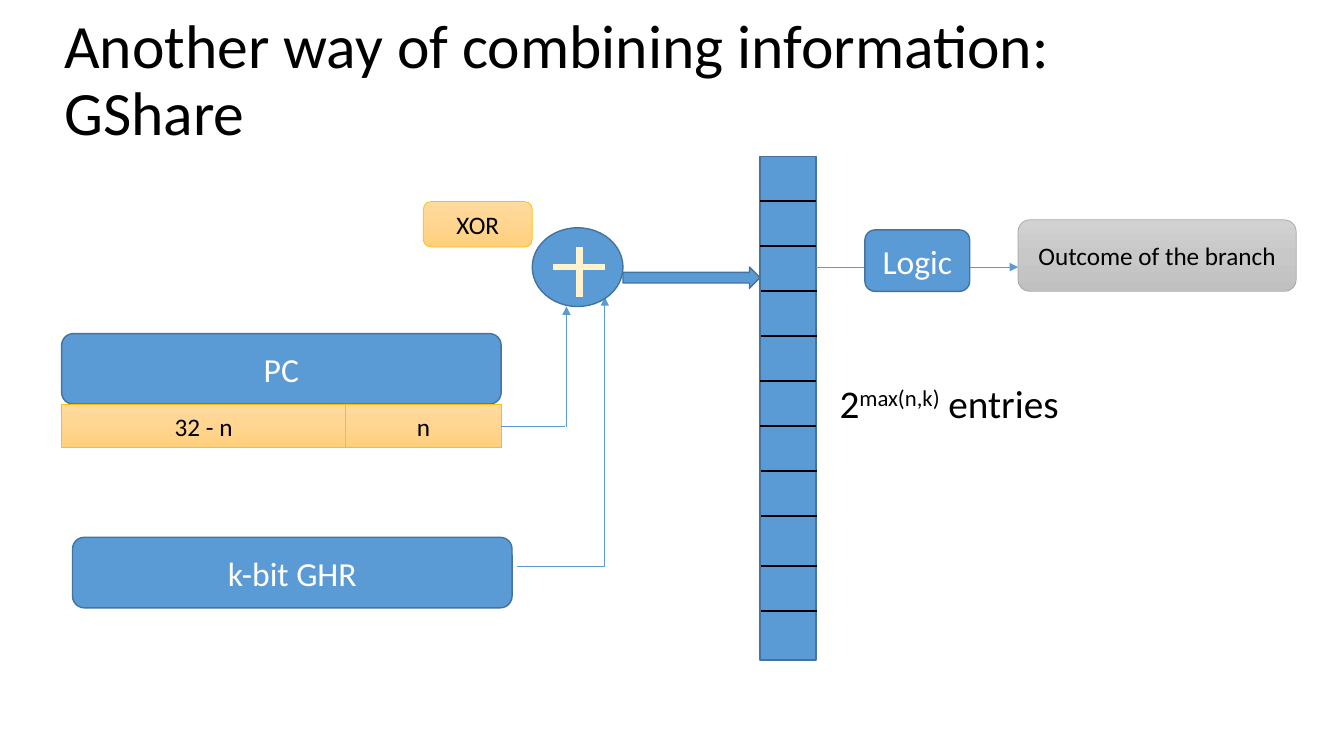
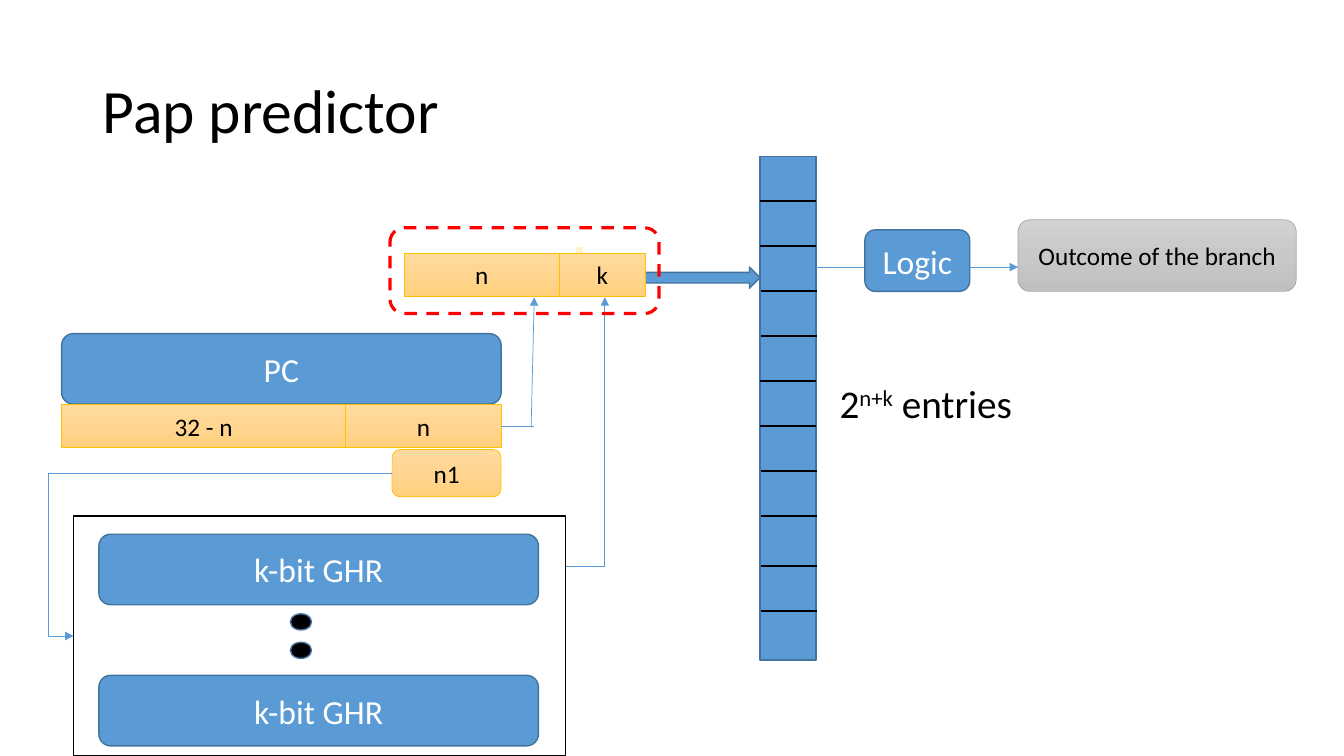
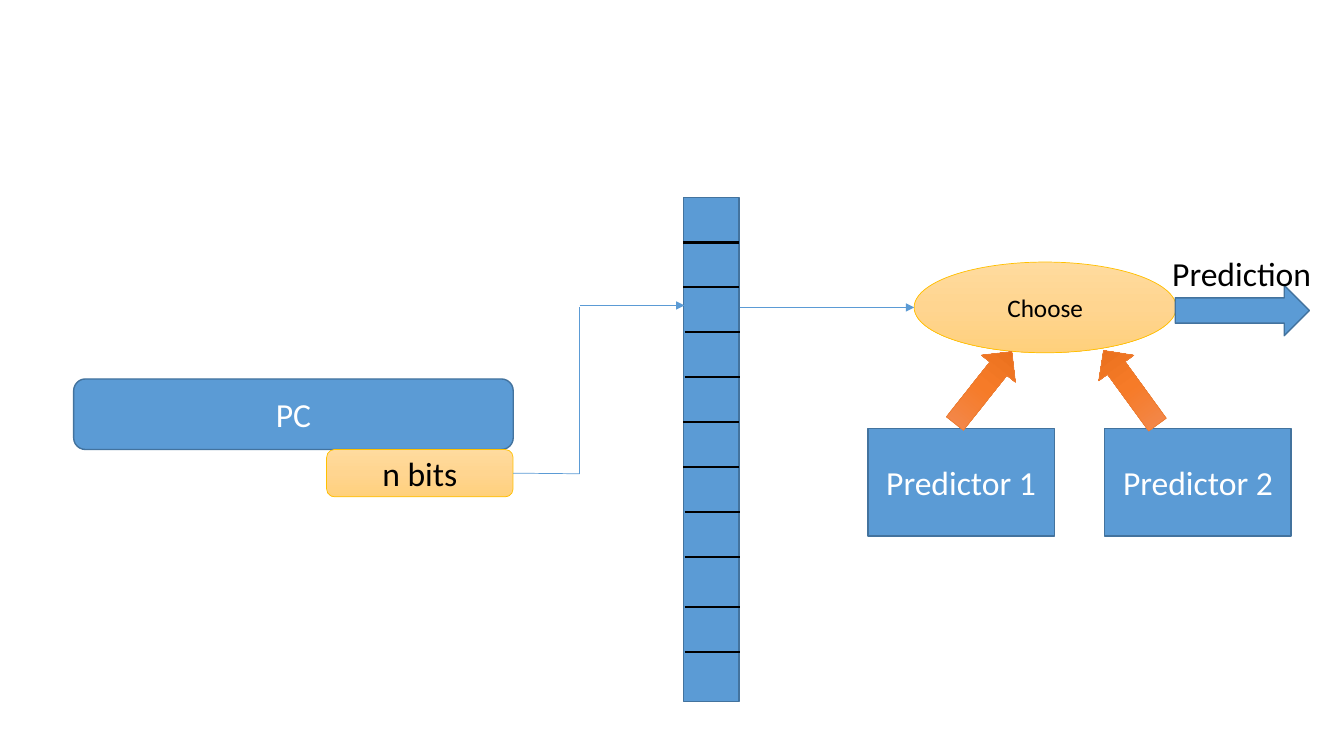
import copy
from dataclasses import dataclass
from typing import NamedTuple, Optional

import lxml.etree
import pptx
import pptx.dml.color
import pptx.enum.dml
import pptx.enum.shapes
import pptx.enum.text
import pptx.oxml.ns
import pptx.presentation
import pptx.shapes.autoshape
import pptx.shapes.connector
import pptx.slide
import pptx.util

Pt = pptx.util.Pt
Kind = pptx.enum.shapes.MSO_SHAPE
qn = pptx.oxml.ns.qn


class Look(NamedTuple):
    fill: tuple[str, ...]
    line: str
    weight: float
    ink: str = "000000"
    dashed: bool = False


@dataclass(frozen=True)
class Theme:
    font: str = "Calibri"
    ink: str = "000000"
    wire: str = "5B9BD5"
    plus: str = "FFF2CC"
    title_size: float = 44
    entries_size: float = 28
    label_size: float = 24
    small_size: float = 18
    blue: Look = Look(("5B9BD5",), "43739E", 1, "FFFFFF")
    dot: Look = Look(("000000",), "43739E", 1)
    gold: Look = Look(("FFDB9E", "FFD590", "FFD07C"), "FFC000", 0.5)
    grey: Look = Look(("D2D2D2", "C8C8C8", "C0C0C0"), "A5A5A5", 0.5)
    orange: Look = Look(("F18C57", "F67B28", "E56C19"), "ED7D31", 0.5)
    frame: Look = Look((), "000000", 1)
    highlight: Look = Look((), "FF0000", 2.25, dashed=True)


THEME = Theme()


@dataclass(frozen=True)
class Node:
    kind: Kind
    left: float
    top: float
    width: float
    height: float
    look: Look
    label: str = ""
    size: float = THEME.label_size
    turn: float = 0


class Wire(NamedTuple):
    x1: float
    y1: float
    x2: float
    y2: float
    arrow: bool = False
    colour: str = THEME.wire
    weight: float = 0.5


class Span(NamedTuple):
    text: str
    raised: bool = False


REGISTER_SIZE = (314, 50.4)
FIELD_HEIGHT = 31.2
N_WIDTH = 111
TAG_HEIGHT = 33.8
BAR_WIDTH, BAR_HEIGHT = 39.8, 360
ROW_STEP, ROW_COUNT = 32.1, 10
WIDE_ROW, WIDE_ROW_EXTRA = 9, 3.8
SHIFTED_ROWS, ROW_SHIFT = (3, 4, 7, 8, 9, 10), 0.8


def rgb(colour: str) -> pptx.dml.color.RGBColor:
    return pptx.dml.color.RGBColor.from_string(colour)


def add_span(para, text: str, size: float, colour: str, raised: bool = False) -> None:
    span = para.add_run()
    span.text = text
    span.font.name = THEME.font
    span.font.size = Pt(size)
    span.font.color.rgb = rgb(colour)
    if raised:
        span.font._element.set("baseline", "30000")


def paint(shape: pptx.shapes.autoshape.Shape, look: Look) -> None:
    fill = shape.fill
    if not look.fill:
        fill.background()
    elif len(look.fill) == 1:
        fill.solid()
        fill.fore_color.rgb = rgb(look.fill[0])
    else:
        fill.gradient()
        fill.gradient_angle = 270
        stops = shape.element.spPr.find(".//" + qn("a:gsLst"))
        stops.insert(1, copy.deepcopy(stops[0]))
        for index, (stop, colour) in enumerate(zip(fill.gradient_stops, look.fill)):
            stop.position = index / 2
            stop.color.rgb = rgb(colour)
    shape.line.color.rgb = rgb(look.line)
    shape.line.width = Pt(look.weight)
    if look.dashed:
        shape.line.dash_style = pptx.enum.dml.MSO_LINE.DASH


def add_node(page: pptx.slide.Slide, node: Node) -> pptx.shapes.autoshape.Shape:
    shape = page.shapes.add_shape(
        node.kind, Pt(node.left), Pt(node.top), Pt(node.width), Pt(node.height)
    )
    shape.shadow.inherit = False
    shape.rotation = node.turn
    paint(shape, node.look)
    if node.label:
        frame = shape.text_frame
        frame.vertical_anchor = pptx.enum.text.MSO_ANCHOR.MIDDLE
        para = frame.paragraphs[0]
        para.alignment = pptx.enum.text.PP_ALIGN.CENTER
        add_span(para, node.label, node.size, node.look.ink)
    return shape


def add_wire(
    page: pptx.slide.Slide, wire: Wire, bent: bool = False
) -> pptx.shapes.connector.Connector:
    kinds = pptx.enum.shapes.MSO_CONNECTOR
    connector = page.shapes.add_connector(
        kinds.ELBOW if bent else kinds.STRAIGHT,
        Pt(wire.x1), Pt(wire.y1), Pt(wire.x2), Pt(wire.y2),
    )
    connector.line.color.rgb = rgb(wire.colour)
    connector.line.width = Pt(wire.weight)
    if wire.arrow:
        line = connector.line._get_or_add_ln()
        lxml.etree.SubElement(line, qn("a:tailEnd"), type="triangle")
    lxml.etree.SubElement(connector.element.spPr, qn("a:effectLst"))
    return connector


def add_title(page: pptx.slide.Slide, left: float, top: float, text: str) -> None:
    box = page.shapes.add_textbox(Pt(left), Pt(top), Pt(828), Pt(104.4))
    box.text_frame.word_wrap = True
    box.text_frame.vertical_anchor = pptx.enum.text.MSO_ANCHOR.MIDDLE
    para = box.text_frame.paragraphs[0]
    para.line_spacing = 0.9
    add_span(para, text, THEME.title_size, THEME.ink)


def add_caption(
    page: pptx.slide.Slide, left: float, top: float, width: float, height: float,
    size: float, spans: list[Span],
) -> None:
    box = page.shapes.add_textbox(Pt(left), Pt(top), Pt(width), Pt(height))
    box.text_frame.word_wrap = False
    box.text_frame.auto_size = pptx.enum.text.MSO_AUTO_SIZE.SHAPE_TO_FIT_TEXT
    for span in spans:
        add_span(box.text_frame.paragraphs[0], span.text, size, THEME.ink, span.raised)


def add_register(page: pptx.slide.Slide, left: float, top: float, label: str) -> None:
    add_node(page, Node(Kind.ROUNDED_RECTANGLE, left, top, *REGISTER_SIZE, THEME.blue, label))


def add_field(
    page: pptx.slide.Slide, left: float, top: float, width: float, label: str
) -> pptx.shapes.autoshape.Shape:
    return add_node(page, Node(
        Kind.RECTANGLE, left, top, width, FIELD_HEIGHT, THEME.gold, label, THEME.small_size
    ))


def add_tag(
    page: pptx.slide.Slide, left: float, top: float, width: float, height: float,
    label: str, size: float = THEME.small_size,
) -> pptx.shapes.autoshape.Shape:
    return add_node(page, Node(
        Kind.ROUNDED_RECTANGLE, left, top, width, height, THEME.gold, label, size
    ))


def add_history_table(page: pptx.slide.Slide, left: float, top: float) -> None:
    add_node(page, Node(Kind.RECTANGLE, left, top, BAR_WIDTH, BAR_HEIGHT, THEME.blue))
    for row in range(1, ROW_COUNT + 1):
        x = left + (ROW_SHIFT if row in SHIFTED_ROWS else 0)
        y = top + row * ROW_STEP + (WIDE_ROW_EXTRA if row >= WIDE_ROW else 0)
        add_wire(page, Wire(x, y, x + BAR_WIDTH, y, colour=THEME.ink, weight=1.5))


def add_predictor(
    page: pptx.slide.Slide, exponent: str, entries_width: float, n_wire_end: float
) -> None:
    add_register(page, 44, 238.3, "PC")
    add_field(page, 44, 288.7, 203, "32 - n")
    n_field = add_field(page, 247, 288.7, N_WIDTH, "n")
    add_history_table(page, 543, 111.6)
    add_node(page, Node(
        Kind.ROUNDED_RECTANGLE, 727.2, 157, 198.7, 51.1,
        THEME.grey, "Outcome of the branch", THEME.small_size,
    ))
    add_wire(page, Wire(582.8, 190.8, 727.2, 190.8, arrow=True))
    add_caption(
        page, 592.6, 267.1, entries_width, 41, THEME.entries_size,
        [Span("2"), Span(exponent, raised=True), Span(" entries")],
    )
    add_node(page, Node(Kind.ROUNDED_RECTANGLE, 617.8, 164.2, 74.9, 43.9, THEME.blue, "Logic"))
    add_wire(page, Wire(358, 304.3, n_wire_end, 304.3)).begin_connect(n_field, 3)
    add_wire(page, Wire(432, 404.6, 432, 212.4, arrow=True))
    add_node(page, Node(Kind.RIGHT_ARROW, 445, 190.8, 97.9, 15.1, THEME.blue))


def add_plus_stroke(
    page: pptx.slide.Slide, x1: float, y1: float, x2: float, y2: float
) -> None:
    add_wire(page, Wire(x1, y1, x2, y2, colour=THEME.plus, weight=4.5))


def build_gshare(page: pptx.slide.Slide) -> None:
    add_title(page, 38.9, 6.5, "Another way of combining information: GShare")
    add_predictor(page, "max(n,k)", 181.4, 403.9)
    add_register(page, 51.8, 383.8, "k-bit GHR")
    add_wire(page, Wire(404.6, 305.3, 404.6, 218.9, arrow=True))
    add_wire(page, Wire(369.4, 404.6, 432, 404.6))
    add_node(page, Node(Kind.OVAL, 380.2, 162.7, 64.8, 56.2, THEME.blue))
    add_plus_stroke(page, 395.3, 190.8, 432, 190.8)
    add_plus_stroke(page, 414, 176.4, 414, 212.4)
    add_tag(page, 302.4, 144, 77.8, 32.4, "XOR")


def build_pap(page: pptx.slide.Slide) -> None:
    add_title(page, 66.2, 28.8, "Pap predictor")
    add_predictor(page, "n+k", 142.6, 381.6)
    add_wire(page, Wire(379.4, 305.3, 381.6, 212.4, arrow=True))
    add_wire(page, Wire(404.6, 404.6, 432, 404.6))
    add_plus_stroke(page, 414, 176.4, 414, 212.4)
    n1_tag = add_tag(page, 280.1, 321.1, 77.8, TAG_HEIGHT, "n1")
    for top in (381.6, 482.4):
        add_register(page, 70.6, top, "k-bit GHR")
    for top in (438.5, 458.8):
        add_node(page, Node(Kind.OVAL, 207.4, top, 15.1, 11.5, THEME.dot))
    history_frame = add_node(page, Node(
        Kind.RECTANGLE, 52.6, 368.6, 351.4, 171.4, THEME.frame
    ))
    select_wire = add_wire(page, Wire(280.1, 338, 52.6, 454.3, arrow=True), bent=True)
    select_wire.begin_connect(n1_tag, 1)
    select_wire.end_connect(history_frame, 1)
    geometry = select_wire.element.spPr.find(qn("a:prstGeom"))
    lxml.etree.SubElement(
        geometry.get_or_add_avLst(), qn("a:gd"), name="adj1", fmla="val 107900"
    )
    add_field(page, 288.7, 180.7, N_WIDTH, "n")
    add_field(page, 288.7 + N_WIDTH, 180.7, 61.2, "k")
    add_node(page, Node(
        Kind.ROUNDED_RECTANGLE, 278.6, 162.7, 192.2, 61.2, THEME.highlight
    ))


def build_chooser(page: pptx.slide.Slide) -> None:
    add_register(page, 52.6, 270.7, "PC")
    n_tag = add_tag(page, 233.3, 321.1, 133.2, TAG_HEIGHT, "n bits", THEME.label_size)
    add_history_table(page, 488.2, 141.1)
    add_wire(page, Wire(366.5, 338, 414, 338.4)).begin_connect(n_tag, 3)
    for wire in (
        Wire(414, 338.4, 414, 219.6),
        Wire(414, 218.2, 488.9, 218.2, arrow=True),
        Wire(528.5, 219.6, 653, 219.6, arrow=True),
    ):
        add_wire(page, wire)
    add_node(page, Node(
        Kind.OVAL, 653, 187.2, 187.2, 64.8, THEME.gold, "Choose", THEME.small_size
    ))
    for number, left in enumerate((619.9, 789.1), 1):
        add_node(page, Node(
            Kind.RECTANGLE, left, 306, 133.2, 77, THEME.blue, f"Predictor {number}"
        ))
    for left, turn in ((686.9, 218.4), (792, 144)):
        add_node(page, Node(Kind.DOWN_ARROW, left, 244.1, 31, 65.5, THEME.orange, turn=turn))
    add_node(page, Node(Kind.RIGHT_ARROW, 839.5, 203.8, 95.8, 36, THEME.blue))
    add_caption(page, 830.2, 177.1, 115.2, 36, THEME.label_size, [Span("Prediction")])


def main() -> None:
    deck = pptx.Presentation()
    deck.slide_width, deck.slide_height = Pt(960), Pt(540)
    for build in (build_gshare, build_pap, build_chooser):
        build(deck.slides.add_slide(deck.slide_layouts[6]))
    deck.save("out.pptx")


if __name__ == "__main__":
    main()
